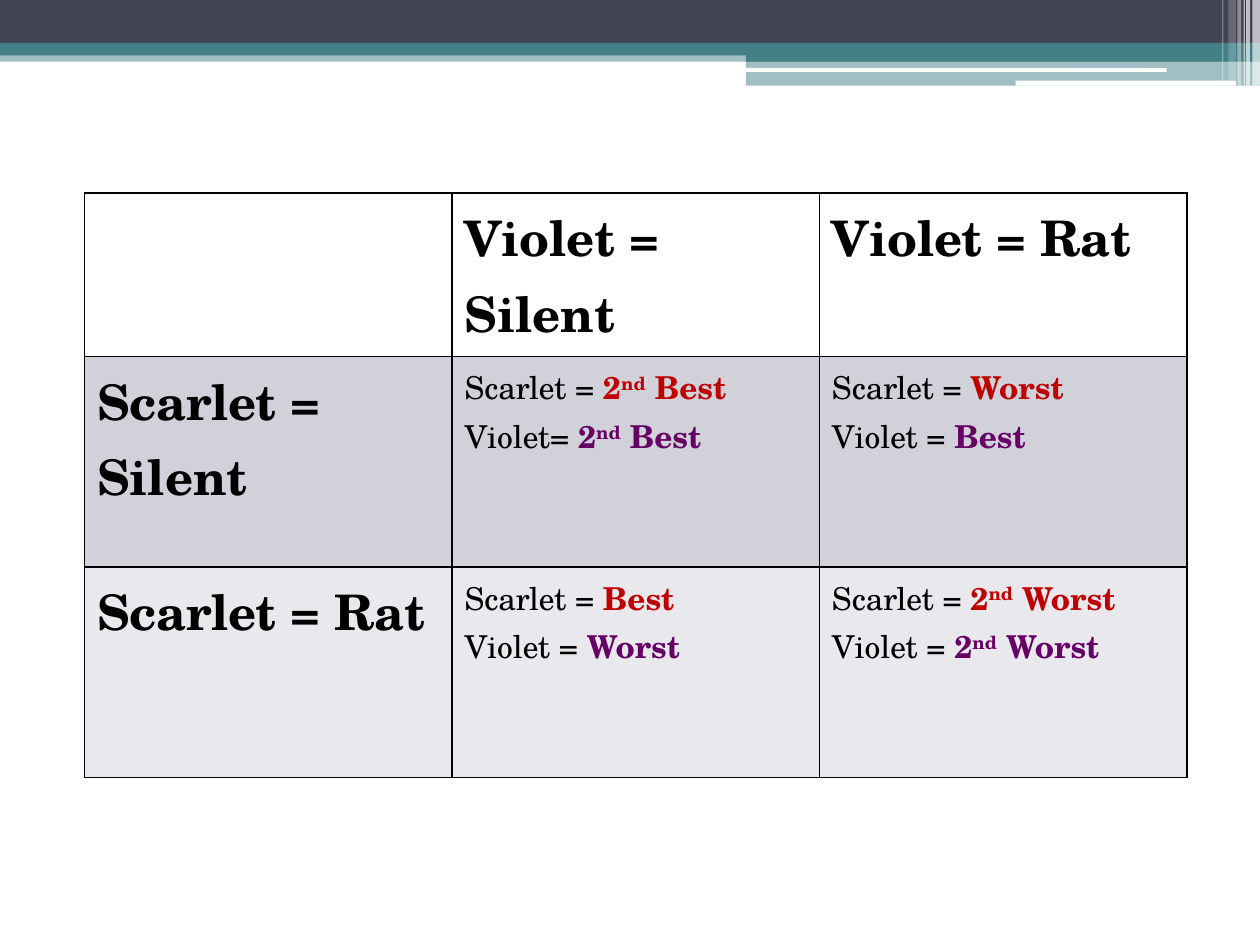
from lxml.etree import SubElement
from pptx import Presentation
from pptx.dml.color import RGBColor
from pptx.enum.shapes import MSO_SHAPE as Shape
from pptx.oxml.ns import qn
from pptx.util import Inches, Pt

FONT = "TeX Gyre Schola"
BLACK, WHITE, RED, PURPLE = "000000", "FFFFFF", "C00000", "660066"
NAVY, TEAL = "424456", "438086"


def paint(fill, color, alpha=100):
    fill.solid()
    fill.fore_color.rgb = RGBColor.from_string(color)
    if alpha < 100:
        solid = fill._xPr.find(qn("a:solidFill"))
        SubElement(solid[0], qn("a:alpha"), val=str(alpha * 1000))


def write(paragraph, text, color=BLACK, size=18, bold=True, raised=False):
    run = paragraph.add_run()
    run.text = text
    for name, value in dict(name=FONT, size=Pt(size), bold=bold).items():
        setattr(run.font, name, value)
    run.font.color.rgb = RGBColor.from_string(color)
    if raised:
        run._r.get_or_add_rPr().set("baseline", "30000")


prs = Presentation()
prs.slide_width, prs.slide_height = Inches(10), Inches(7.5)
slide = prs.slides.add_slide(prs.slide_layouts[6])

# Header bands, white rules, and the stripes at the right edge
header = [
    (Shape.RECTANGLE, 0, 0.4, 10, 0.09, TEAL, 50),
    (Shape.RECTANGLE, 0, 0, 10, 0.34, NAVY, 100),
    (Shape.RECTANGLE, 0, 0.34, 10, 0.1, TEAL, 100),
    (Shape.RECTANGLE, 5.92, 0.39, 4.08, 0.1, TEAL, 100),
    (Shape.RECTANGLE, 5.92, 0.48, 4.08, 0.2, TEAL, 50),
    (Shape.ROUNDED_RECTANGLE, 5.91, 0.54, 3.35, 0.03, WHITE, 100),
    (Shape.ROUNDED_RECTANGLE, 8.06, 0.64, 1.75, 0.04, WHITE, 100),
]
stripes = [(9.94, 0.06, 0.68, 65), (9.89, 0.03, 0.68, 65), (9.87, 0.01, 0.68, 60),
           (9.82, 0.03, 0.68, 40), (9.75, 0.06, 0.64, 20), (9.7, 0.01, 0.64, 30)]
header += [(Shape.RECTANGLE, left, 0, width, height, WHITE, alpha)
           for left, width, height, alpha in stripes]
for kind, left, top, width, height, color, alpha in header:
    band = slide.shapes.add_shape(kind, *map(Inches, (left, top, width, height)))
    band.shadow.inherit = False
    band.line.fill.background()
    paint(band.fill, color, alpha)

# Payoff matrix: a string is a heading, a list holds (label, outcome, colour)
payoffs = [
    ["", "Violet = Silent ", "Violet = Rat"],
    ["Scarlet = Silent",
     [("Scarlet = ", "2nd Best", RED), ("Violet= ", "2nd Best", PURPLE)],
     [("Scarlet = ", "Worst", RED), ("Violet = ", "Best", PURPLE)]],
    ["Scarlet = Rat",
     [("Scarlet = ", "Best", RED), ("Violet = ", "Worst ", PURPLE)],
     [("Scarlet = ", "2nd Worst", RED), ("Violet = ", "2nd Worst", PURPLE)]],
]
row_fills = [WHITE, "D1D1DA", "E9E9ED"]
row_heights = [0.97, 1.67, 1.67]

matrix = slide.shapes.add_table(3, 3, Inches(0.67), Inches(1.53),
                                Inches(8.75), Inches(sum(row_heights))).table
matrix.first_row = matrix.horz_banding = False
for r, row in enumerate(payoffs):
    matrix.rows[r].height = Inches(row_heights[r])
    for c, content in enumerate(row):
        cell = matrix.cell(r, c)

        # Thin black border on every side, then the row's fill
        props = cell._tc.get_or_add_tcPr()
        for side in ("lnL", "lnR", "lnT", "lnB"):
            edge = SubElement(props, qn(f"a:{side}"), w=str(Pt(1)))
            SubElement(SubElement(edge, qn("a:solidFill")), qn("a:srgbClr"), val=BLACK)
        paint(cell.fill, row_fills[r])

        frame = cell.text_frame
        if isinstance(content, str):
            if content:
                write(frame.paragraphs[0], content, size=28)
            continue
        for i, (label, outcome, color) in enumerate(content):
            line = frame.add_paragraph() if i else frame.paragraphs[0]
            write(line, label, bold=False)
            rank, ordinal, rest = outcome.partition("nd")
            write(line, rank, color)
            if ordinal:
                write(line, ordinal, color, raised=True)
                write(line, rest, color)

prs.save("out.pptx")
